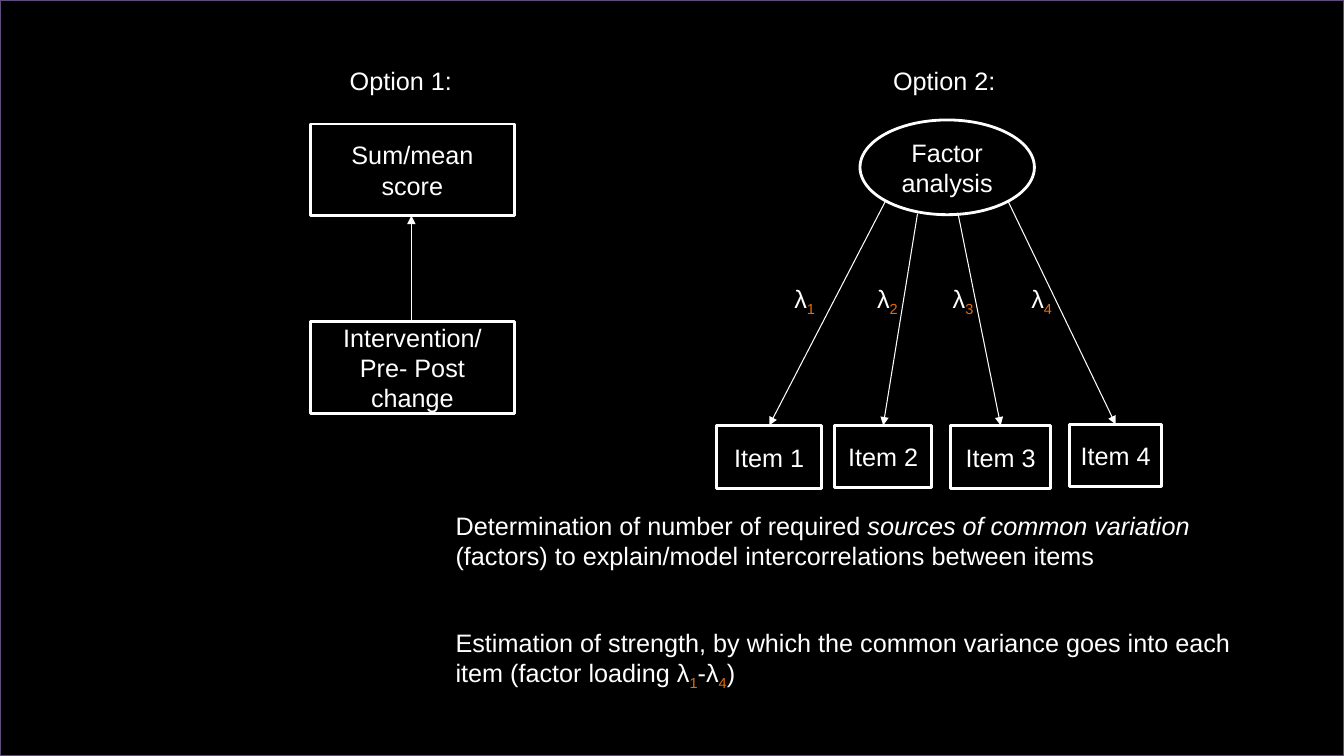
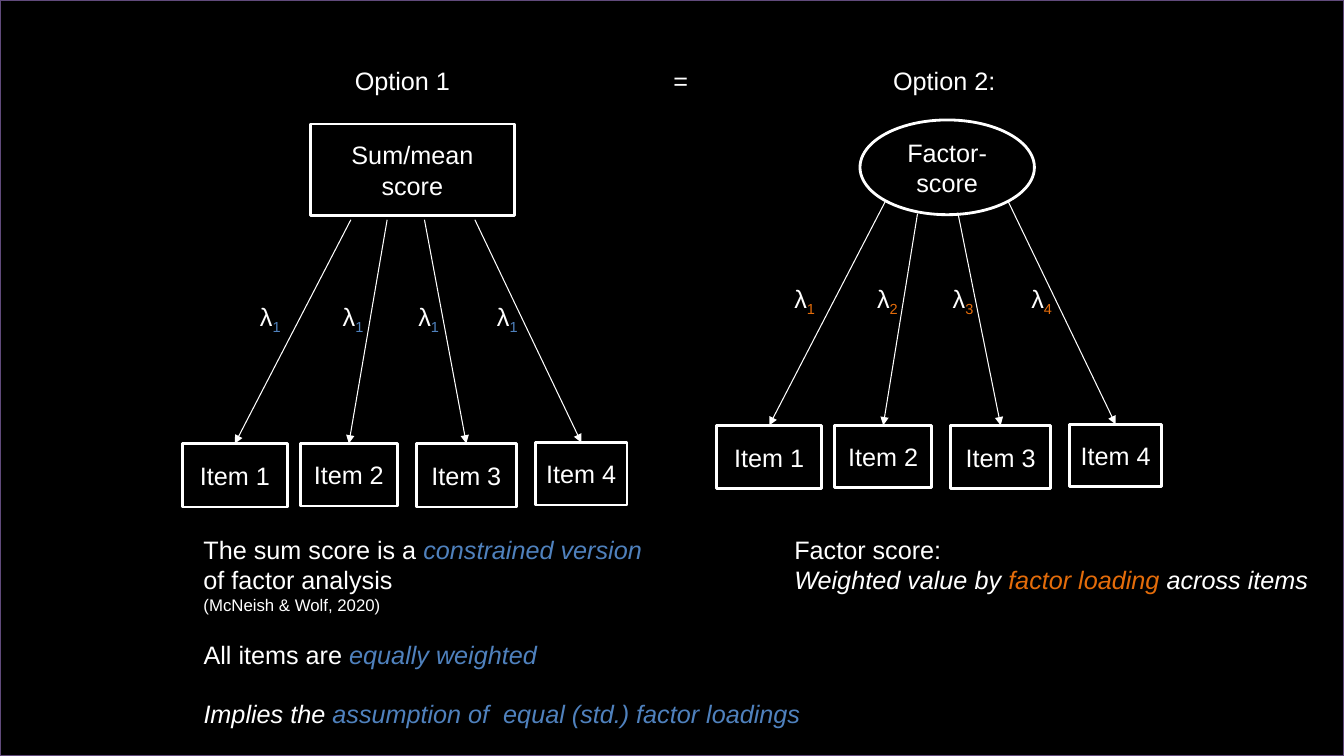
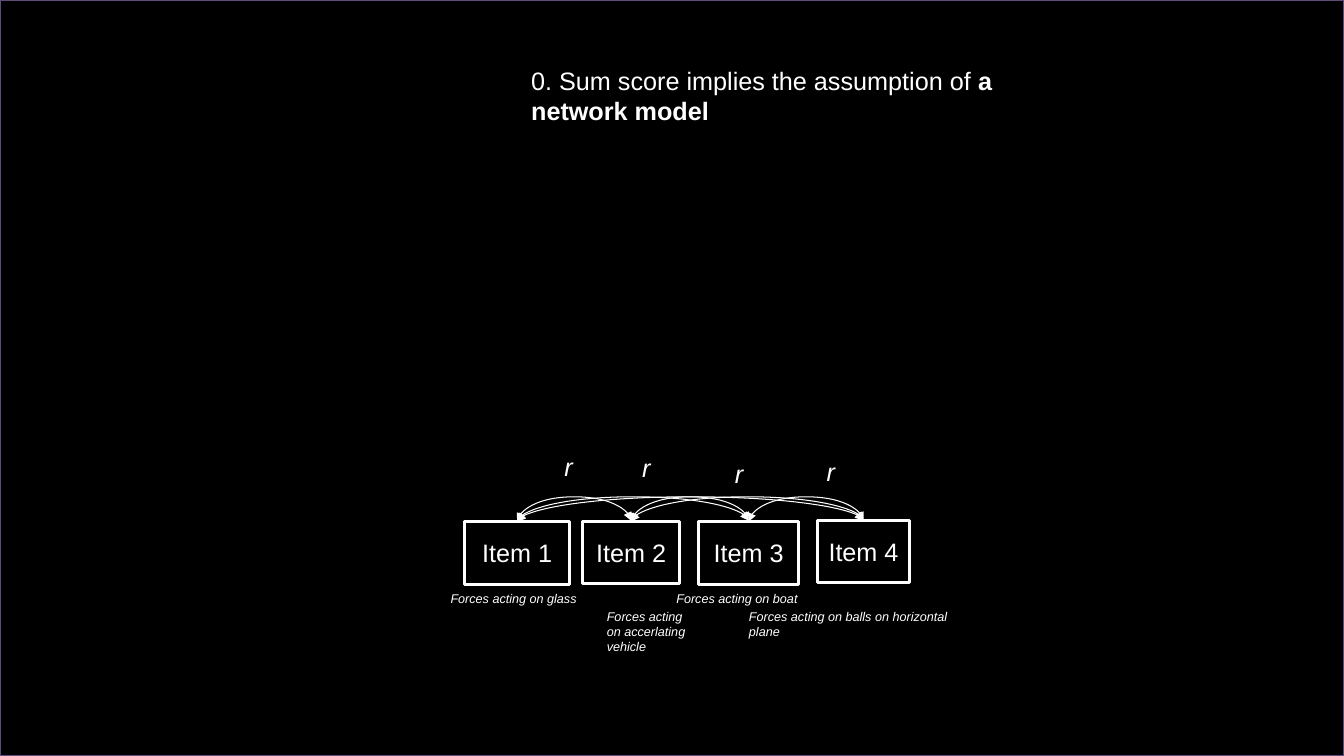
from itertools import combinations

from lxml import etree
from pptx import Presentation
from pptx.dml.color import RGBColor
from pptx.enum.shapes import MSO_CONNECTOR, MSO_SHAPE
from pptx.enum.text import MSO_ANCHOR, MSO_AUTO_SIZE, PP_ALIGN
from pptx.oxml.ns import qn
from pptx.util import Inches, Pt

BLACK = RGBColor(0x00, 0x00, 0x00)
WHITE = RGBColor(0xFF, 0xFF, 0xFF)
PURPLE = RGBColor(0x60, 0x4A, 0x7B)
ORANGE = RGBColor(0xE4, 0x6C, 0x0A)
BLUE = RGBColor(0x4F, 0x81, 0xBD)

FONT = "Arial"
ITALIC = {"italic": True}
BLUE_ITALIC = {"italic": True, "color": BLUE}

# Item row: left offset, top offset, width, height of each box
ITEMS = [(0, 0, 1.04, 0.63), (1.17, 0, 0.96, 0.62),
         (2.32, 0, 0.99, 0.63), (3.5, -0.01, 0.91, 0.62)]
ITEM_CENTRES = [x + w / 2 for x, _, w, _ in ITEMS]
LOADING_OFFSETS = [0.67, 1.49, 2.24, 3.02]
# Arrow starts as left offset from the item row and absolute top
ELLIPSE_STARTS = [(1.67, 2), (1.99, 2.12), (2.39, 2.11), (2.89, 2)]
SCORE_STARTS = [(1.67, 2.18), (2.03, 2.18), (2.4, 2.18), (2.9, 2.18)]


# Text
def add_run(p, text, color=WHITE, size=18, sub=False, **style):
    r = p.add_run()
    r.text = text
    for name, value in {"name": FONT, "size": Pt(size), **style}.items():
        setattr(r.font, name, value)
    r.font.color.rgb = color
    if sub:
        r.font._element.set("baseline", "-25000")


def loading(number, color):
    return [("λ", {}), (str(number), {"color": color, "sub": True})]


def add_text(s, x, y, w, h, *paragraphs, space_before=0, tab=None):
    """Each paragraph is a list of (text, format) runs."""
    box = s.shapes.add_textbox(Inches(x), Inches(y), Inches(w), Inches(h))
    tf = box.text_frame
    tf.word_wrap = True
    tf.auto_size = MSO_AUTO_SIZE.SHAPE_TO_FIT_TEXT
    for i, runs in enumerate(paragraphs):
        p = tf.add_paragraph() if i else tf.paragraphs[0]
        if i and space_before:
            p.space_before = Pt(space_before)
        if tab:
            tabs = etree.SubElement(p._p.get_or_add_pPr(), qn("a:tabLst"))
            etree.SubElement(tabs, qn("a:tab"), pos=str(Inches(tab)), algn="l")
        for text, style in runs:
            add_run(p, text, **style)


# Boxes and arrows
def add_box(s, x, y, w, h, text="", kind=MSO_SHAPE.RECTANGLE, color=WHITE):
    sp = s.shapes.add_shape(kind, Inches(x), Inches(y), Inches(w), Inches(h))
    sp.shadow.inherit = False
    sp.fill.background()
    sp.line.color.rgb = color
    sp.line.width = Pt(2)
    tf = sp.text_frame
    tf.word_wrap = True
    tf.vertical_anchor = MSO_ANCHOR.MIDDLE
    if text:
        p = tf.paragraphs[0]
        p.alignment = PP_ALIGN.CENTER
        add_run(p, text)
    return sp


def add_arrow(s, x1, y1, x2, y2, kind=MSO_CONNECTOR.STRAIGHT, ends=("tailEnd",)):
    line = s.shapes.add_connector(kind, Inches(x1), Inches(y1), Inches(x2), Inches(y2))
    line.line.color.rgb = WHITE
    line.line.width = Pt(0.75)
    ln = line.line._get_or_add_ln()
    for end in ends:
        etree.SubElement(ln, qn(f"a:{end}"), type="triangle")
    etree.SubElement(line._element.spPr, qn("a:effectLst"))
    return line


def add_arc(s, x1, x2, y, rise=0.25, depth=0.01):
    """Double-headed curve between two points at height y: a connector turned by 90°."""
    mid, half = (x1 + x2) / 2, (x2 - x1) / 2
    arc = add_arrow(s, mid + depth / 2, y + half, mid - depth / 2, y - half,
                    MSO_CONNECTOR.CURVE, ("headEnd", "tailEnd"))
    arc.rotation = 90
    spPr = arc._element.spPr
    spPr.find(qn("a:xfrm")).set("rot", str(90 * 60000))
    guides = spPr.find(qn("a:prstGeom")).find(qn("a:avLst"))
    etree.SubElement(guides, qn("a:gd"), name="adj1",
                     fmla=f"val {round(rise / depth * 100000)}")


# Regions
def add_items(s, x, y):
    for i, (dx, dy, w, h) in enumerate(ITEMS, 1):
        add_box(s, x + dx, y + dy, w, h, f"Item {i}")


def add_loadings(s, x, y, starts, numbers, color):
    """Item row at x, y with arrows from the score above and their loadings."""
    add_items(s, x, y)
    for (dx, top), centre, item in zip(starts, ITEM_CENTRES, ITEMS):
        add_arrow(s, x + dx, top, x + centre, y + item[1])
    for dx, number in zip(LOADING_OFFSETS, numbers):
        add_text(s, x + dx, y - 1.46, 0.78, 0.4, loading(number, color))


def add_sum_score(s):
    add_box(s, 3.08, 1.23, 2.02, 0.91, "Sum/mean score")


def add_factor_option(s, label):
    add_text(s, 8.76, 0.6, 1.32, 0.4, [("Option 2:", {})])
    add_box(s, 8.53, 1.19, 1.73, 0.94, label, MSO_SHAPE.OVAL)
    add_loadings(s, 7.11, 4.22, ELLIPSE_STARTS, (1, 2, 3, 4), ORANGE)


# Slides
def add_slide(prs):
    return prs.slides.add_slide(prs.slide_layouts[6])


def set_master(prs, s):
    """Black background and thin frame, shared through the master."""
    master = prs.slide_master
    master.background.fill.solid()
    master.background.fill.fore_color.rgb = BLACK
    frame = add_box(s, 0, 0, 13.33, 7.5, color=PURPLE)
    master.shapes._spTree.append(frame._element)


def build_options(s):
    add_factor_option(s, "Factor analysis")
    add_text(s, 3.37, 0.6, 1.32, 0.4, [("Option 1:", {})])
    add_sum_score(s)
    add_arrow(s, 4.08, 3.19, 4.08, 2.14)
    add_box(s, 3.08, 3.19, 2.02, 0.91, "Intervention/Pre- Post change")
    add_text(s, 4.42, 5.01, 8.21, 0.71, [
        ("Determination of number of required ", {}),
        ("sources of common variation ", ITALIC),
        ("(factors) to explain/model intercorrelations between items", {})])
    add_text(s, 4.42, 6.17, 8.21, 0.71, [
        ("Estimation of strength, by which the common variance goes into each "
         "item (factor loading ", {}),
        *loading(1, ORANGE), ("-", {}), *loading(4, ORANGE), (")", {})])


def build_comparison(s):
    add_text(s, 3.42, 0.6, 5.85, 0.4, [("Option 1\t=", {})], tab=3.16)
    add_sum_score(s)
    add_loadings(s, 1.81, 4.4, SCORE_STARTS, (1, 1, 1, 1), BLUE)
    add_factor_option(s, "Factor-score")
    add_text(s, 1.92, 5.25, 4.57, 0.91,
             [("The sum score is a ", {}), ("constrained version ", BLUE_ITALIC),
              ("of factor analysis", {})],
             [("(McNeish & Wolf, 2020)", {"size": 12})])
    add_text(s, 1.92, 6.29, 7.82, 1.01,
             [("All items are ", {}), ("equally weighted", BLUE_ITALIC)],
             [("Implies the ", ITALIC),
              ("assumption of  equal (std.) factor loadings", BLUE_ITALIC)],
             space_before=20.7)
    add_text(s, 7.78, 5.25, 8.21, 0.71,
             [("Factor score:", {})],
             [("Weighted value by ", ITALIC),
              ("factor loading ", {"italic": True, "color": ORANGE}),
              ("across items", ITALIC)])


def build_network(s):
    left, top = 4.61, 5.17
    add_text(s, 5.17, 0.6, 5.33, 0.71, [
        ("0. Sum score implies the assumption of ", {}),
        ("a network model", {"bold": True})])
    add_items(s, left, top)
    for a, b in combinations(ITEM_CENTRES, 2):
        add_arc(s, left + a, left + b, top)
    for x, y in [(5.5, 4.43), (6.27, 4.44), (7.19, 4.5), (8.1, 4.48)]:
        add_text(s, x, y, 0.78, 0.4, [("r", ITALIC)])
    captions = [(4.37, 5.81, 3.13, 0.25, "glass"),
                (5.92, 5.99, 1.08, 0.56, "accerlating vehicle"),
                (6.61, 5.81, 1.67, 0.25, "boat"),
                (7.33, 5.99, 2.42, 0.4, "balls on horizontal plane")]
    for *box, thing in captions:
        add_text(s, *box, [(f"Forces acting on {thing}", {"italic": True, "size": 9})])


def main():
    prs = Presentation()
    prs.slide_width, prs.slide_height = Inches(13.33), Inches(7.5)
    slides = [add_slide(prs) for _ in range(3)]
    set_master(prs, slides[0])
    for build, s in zip((build_options, build_comparison, build_network), slides):
        build(s)
    prs.save("out.pptx")


if __name__ == "__main__":
    main()
